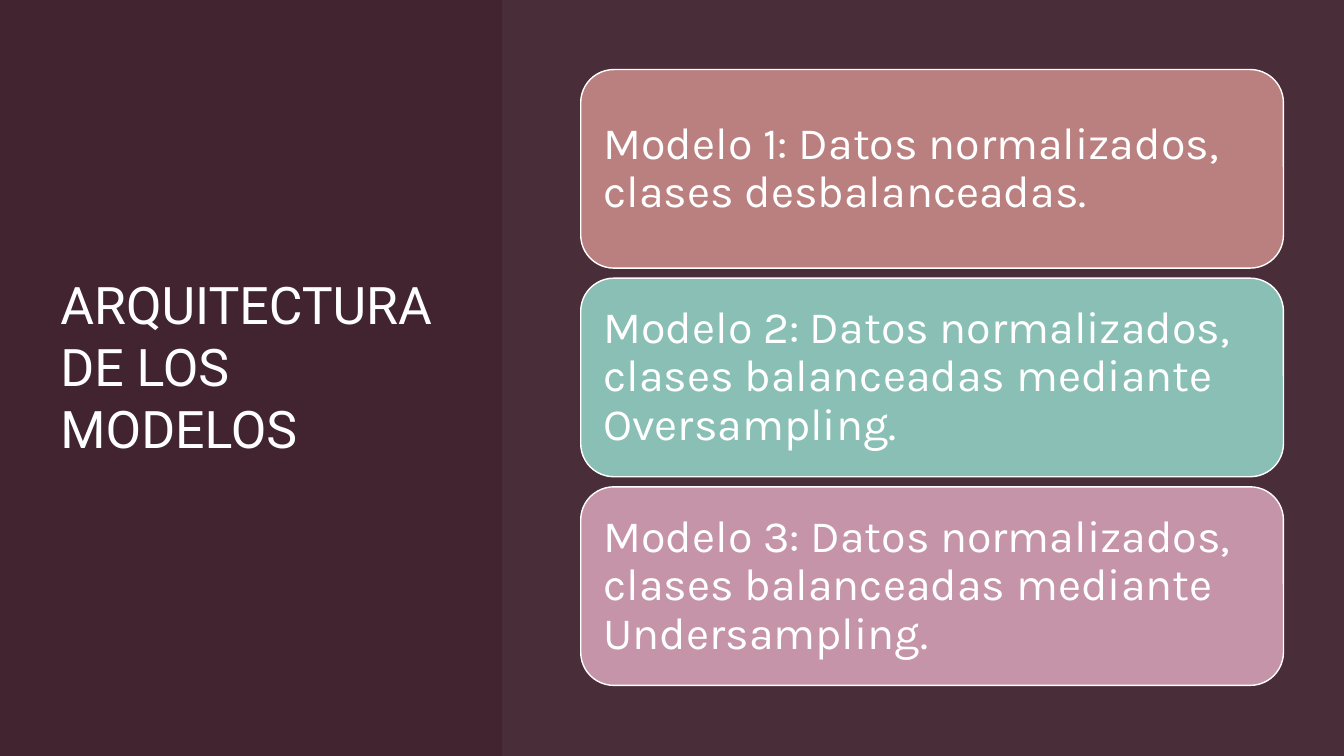
from pptx import Presentation
from pptx.dml.color import RGBColor
from pptx.enum.shapes import MSO_SHAPE
from pptx.enum.text import MSO_ANCHOR, MSO_AUTO_SIZE, PP_ALIGN
from pptx.oxml.ns import qn
from pptx.util import Inches, Pt
from lxml import etree

RECTANGLE = MSO_SHAPE.RECTANGLE
ROUNDED = MSO_SHAPE.ROUNDED_RECTANGLE
MIDDLE = MSO_ANCHOR.MIDDLE
LEFT = PP_ALIGN.LEFT
NO_AUTOFIT = MSO_AUTO_SIZE.NONE

COLORS = {
    "background": "412430",
    "veil": "F0E5EA",
    "white": "FFFFFF",
    "rose": "BA807F",
    "teal": "8ABFB5",
    "pink": "C594A8",
}
TITLE = "ARQUITECTURA DE LOS MODELOS"
MODELS = [
    ("Modelo 1: Datos normalizados, clases desbalanceadas.", "rose"),
    ("Modelo 2: Datos normalizados, clases balanceadas mediante Oversampling.", "teal"),
    ("Modelo 3: Datos normalizados, clases balanceadas mediante Undersampling.", "pink"),
]
SLIDE_WIDTH, SLIDE_HEIGHT = 13.33, 7.5
PANEL_LEFT = 4.98
CARD_LEFT, CARD_TOP, CARD_WIDTH, CARD_HEIGHT = 5.76, 0.69, 6.97, 1.97
CARD_PITCH = 2.07


def color(name):
    return RGBColor.from_string(COLORS[name])


def add_filled_shape(slide, kind, box, fill):
    shape = slide.shapes.add_shape(kind, *[Inches(length) for length in box])
    shape.shadow.inherit = False
    shape.fill.solid()
    shape.fill.fore_color.rgb = color(fill)
    shape.line.fill.background()
    return shape


def write_text(shape, text, font_name, size, inset, spacing):
    frame = shape.text_frame
    frame.word_wrap = True
    frame.auto_size = NO_AUTOFIT
    frame.vertical_anchor = MIDDLE
    frame.margin_left = frame.margin_right = Inches(inset)
    frame.margin_top = frame.margin_bottom = Inches(inset)
    paragraph = frame.paragraphs[0]
    paragraph.alignment = LEFT
    paragraph.line_spacing = spacing
    run = paragraph.add_run()
    run.text = text
    run.font.name = font_name
    run.font.size = Pt(size)
    run.font.color.rgb = color("white")


def set_opacity(shape, percent):
    fill_color = shape.fill._xPr.find(qn("a:solidFill"))[0]
    alpha = etree.SubElement(fill_color, qn("a:alpha"))
    alpha.set("val", str(percent * 1000))


def main():
    presentation = Presentation()
    presentation.slide_width = Inches(SLIDE_WIDTH)
    presentation.slide_height = Inches(SLIDE_HEIGHT)
    slide = presentation.slides.add_slide(presentation.slide_layouts[5])
    slide.background.fill.solid()
    slide.background.fill.fore_color.rgb = color("background")

    base = add_filled_shape(slide, RECTANGLE, (0, 0, SLIDE_WIDTH, SLIDE_HEIGHT), "background")
    title = slide.shapes.title
    base._element.addnext(title._element)
    title.left, title.top = Inches(0.6), Inches(0.6)
    title.width, title.height = Inches(3.9), Inches(6.06)
    write_text(title, TITLE, "Roboto", 37, 0, 1.0)

    panel_box = (PANEL_LEFT, 0, SLIDE_WIDTH - PANEL_LEFT, SLIDE_HEIGHT)
    panel = add_filled_shape(slide, RECTANGLE, panel_box, "veil")
    set_opacity(panel, 5)

    for index, (text, fill) in enumerate(MODELS):
        box = (CARD_LEFT, CARD_TOP + index * CARD_PITCH, CARD_WIDTH, CARD_HEIGHT)
        card = add_filled_shape(slide, ROUNDED, box, fill)
        card.line.color.rgb = color("white")
        card.line.width = Pt(1)
        write_text(card, text, "Karla", 32, 0.13, 0.9)

    presentation.save("out.pptx")


if __name__ == "__main__":
    main()
